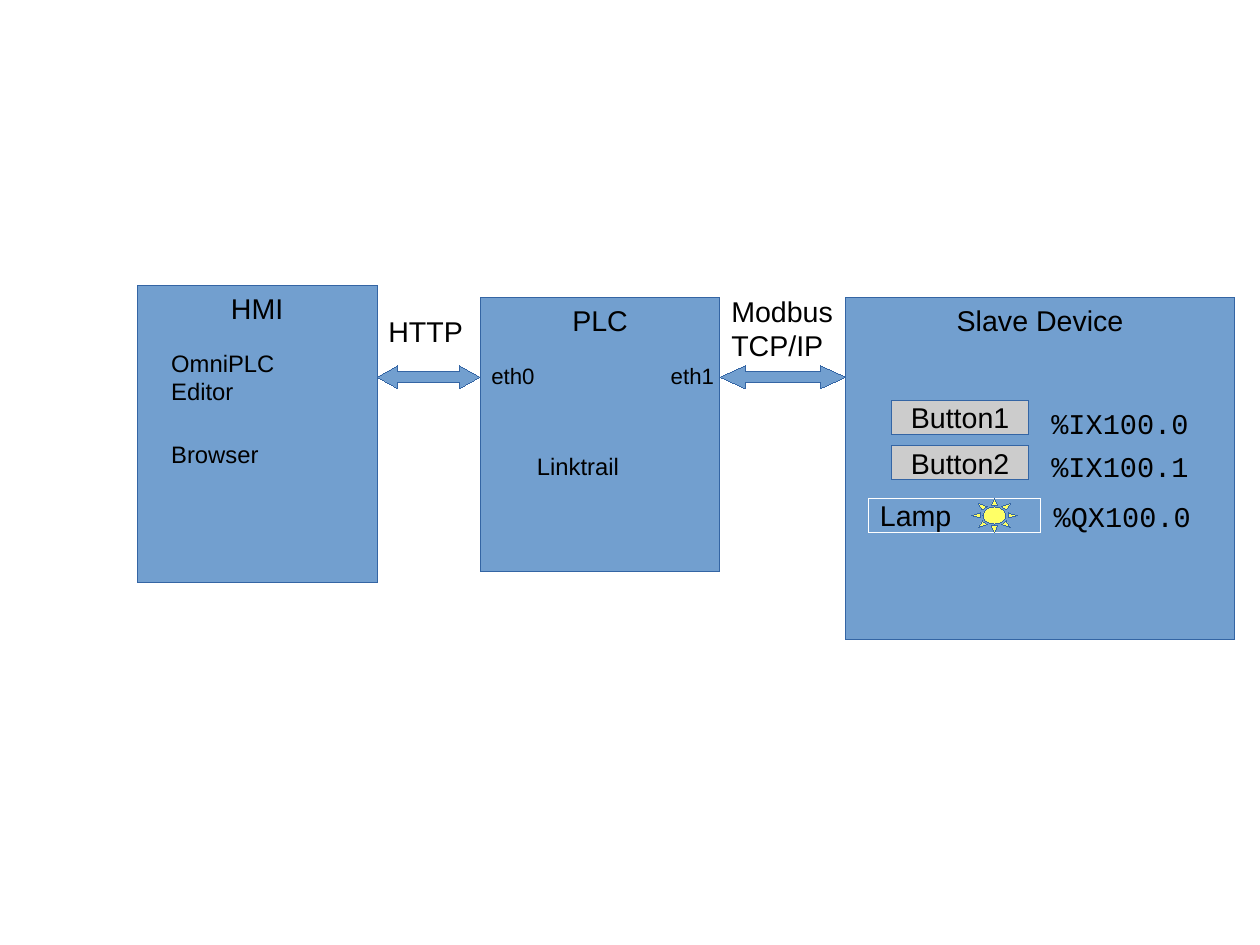
from pptx import Presentation
from pptx.dml.color import RGBColor
from pptx.enum.shapes import MSO_SHAPE as SHAPE
from pptx.enum.text import MSO_ANCHOR as ANCHOR, PP_ALIGN as ALIGN
from pptx.util import Inches, Pt

MM_PER_INCH = 25.4
BLUE = "729FCF"
NAVY = "3465A4"
GREY = "CCCCCC"
YELLOW = "FFFF66"
WHITE = "FFFFFF"
BLACK = "000000"


def color(hex_code):
    return RGBColor.from_string(hex_code)


def write(frame, text, size=18, font="Arial", align=ALIGN.LEFT, anchor=ANCHOR.TOP):
    frame.word_wrap = True
    frame.vertical_anchor = anchor
    paragraph = frame.paragraphs[0]
    paragraph.alignment = align
    run = paragraph.add_run()
    run.text = text
    run.font.size = Pt(size)
    run.font.name = font
    run.font.color.rgb = color(BLACK)


def add_figure(slide, kind, box, fill=BLUE, line=NAVY):
    figure = slide.shapes.add_shape(kind, *map(Inches, box))
    figure.shadow.inherit = False
    if fill:
        figure.fill.solid()
        figure.fill.fore_color.rgb = color(fill)
    else:
        figure.fill.background()
    figure.line.color.rgb = color(line)
    figure.line.width = Pt(0.01)
    return figure


def add_panel(slide, text, box, fill=BLUE, line=NAVY, **text_format):
    panel = add_figure(slide, SHAPE.RECTANGLE, box, fill, line)
    write(panel.text_frame, text, **text_format)


def add_link(slide, left, width, head):
    link = add_figure(slide, SHAPE.LEFT_RIGHT_ARROW, (left, 3.2, width, 0.2))
    link.adjustments[0] = 0.5
    link.adjustments[1] = head


def add_label(slide, text, box, **text_format):
    label = slide.shapes.add_textbox(*map(Inches, box))
    write(label.text_frame, text, **text_format)


def main():
    deck = Presentation()
    deck.slide_width = Inches(280 / MM_PER_INCH)
    deck.slide_height = Inches(210 / MM_PER_INCH)
    slide = deck.slides.add_slide(deck.slide_layouts[6])

    for device, box in (
        ("HMI", (1.2, 2.5, 2.1, 2.6)),
        ("PLC", (4.2, 2.6, 2.1, 2.4)),
        ("Slave Device", (7.4, 2.6, 3.4, 3)),
    ):
        add_panel(slide, device, box, align=ALIGN.CENTER)

    add_link(slide, 3.3, 0.9, 0.9)
    add_link(slide, 6.3, 1.1, 1.1)
    add_label(slide, "HTTP", (3.3, 2.7, 0.9, 0.5))
    add_label(slide, "Modbus TCP/IP", (6.3, 2.52, 1.1, 0.8))

    for button, top in (("Button1", 3.5), ("Button2", 3.9)):
        add_panel(slide, button, (7.8, top, 1.2, 0.3), fill=GREY,
                  align=ALIGN.CENTER, anchor=ANCHOR.MIDDLE)
    add_panel(slide, "Lamp", (7.6, 4.36, 1.5, 0.3), fill=None, line=WHITE,
              anchor=ANCHOR.MIDDLE)
    add_figure(slide, SHAPE.SUN, (8.5, 4.36, 0.4, 0.3), fill=YELLOW)

    for address, left, top in (
        ("%IX100.0", 9.1, 3.5),
        ("%IX100.1", 9.1, 3.88),
        ("%QX100.0", 9.12, 4.32),
    ):
        add_label(slide, address, (left, top, 1.5, 0.4), font="Courier New")

    for port, left in (("eth0", 4.2), ("eth1", 5.77)):
        add_label(slide, port, (left, 3.12, 0.7, 0.32), size=14)

    for program, left, top in (
        ("OmniPLC Editor", 1.4, 3),
        ("Browser", 1.4, 3.8),
        ("Linktrail", 4.6, 3.9),
    ):
        add_label(slide, program, (left, top, 1.3, 0.7), size=15)

    deck.save("out.pptx")


if __name__ == "__main__":
    main()
